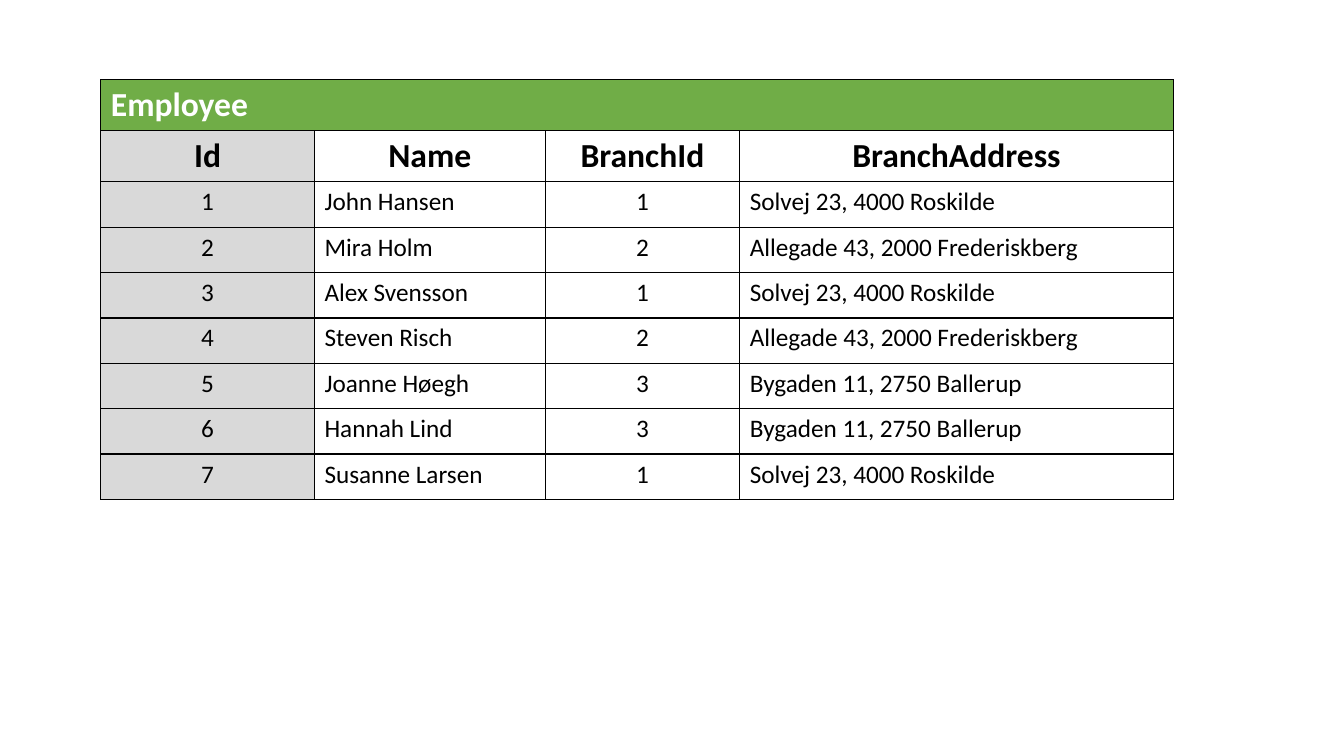
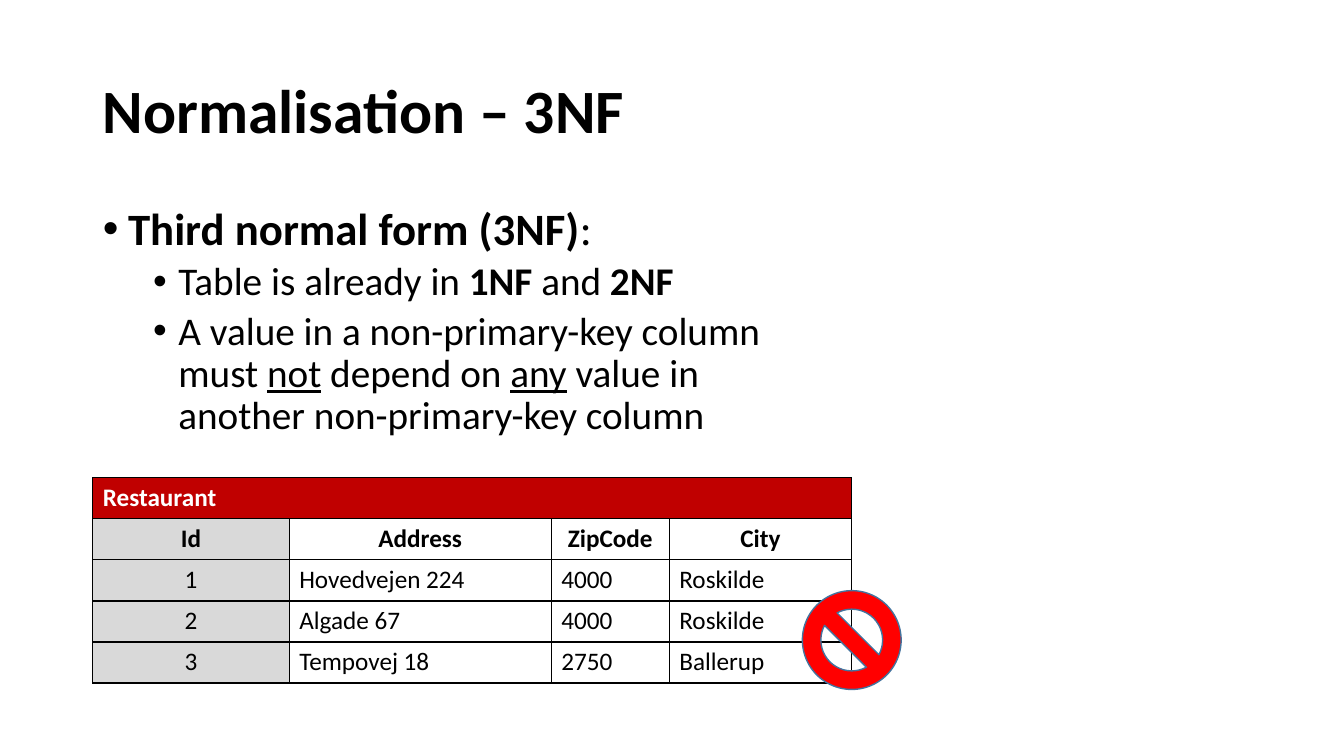
from pptx import Presentation, util as u
from pptx.dml.color import RGBColor
from pptx.enum import shapes, text
from pptx.oxml import parse_xml
from pptx.oxml.ns import nsdecls

FONT = "Calibri"
BLACK, WHITE, GREY = "000000", "FFFFFF", "D9D9D9"
GREEN, DARK_RED, RED, BLUE = "70AD47", "C00000", "FF0000", "43739E"

prs = Presentation()
prs.slide_width, prs.slide_height = u.Inches(13.333), u.Inches(7.5)


def share(x, y, w, h):
    W, H = prs.slide_width, prs.slide_height
    return [int(v * side / 100) for v, side in ((x, W), (y, H), (w, W), (h, H))]


def add_run(p, words, size, color=BLACK, bold=False, underline=False):
    r = p.add_run()
    r.text = words
    f = r.font
    f.name, f.size, f.bold, f.underline = FONT, u.Pt(size), bold, underline
    f.color.rgb = RGBColor.from_string(color)


s1 = prs.slides.add_slide(prs.slide_layouts[6])
s2 = prs.slides.add_slide(prs.slide_layouts[1])

title, body = s2.placeholders
title.left, title.top, title.width, title.height = share(6.9, 5.33, 86.25, 19.33)
body.left, body.top, body.width, body.height = share(6.9, 26.67, 51.38, 60.13)
for sp in (title, body):
    sp.text_frame.auto_size = text.MSO_AUTO_SIZE.NONE
    sp.text_frame.word_wrap = True

title.text_frame.vertical_anchor = text.MSO_ANCHOR.MIDDLE
p = title.text_frame.paragraphs[0]
p.alignment, p.line_spacing = text.PP_ALIGN.LEFT, 0.9
add_run(p, "Normalisation – 3NF", 44, bold=True)

bullets = [
    (0, 32, 10, [("Third normal form (3NF)", "b"), (":", "")]),
    (1, 28, 5, [("Table is already in ", ""), ("1NF ", "b"), ("and", ""), (" 2NF", "b")]),
    (1, 28, 5, [("A value in a non-primary-key column must ", ""), ("not", "u"),
                (" depend on ", ""), ("any", "u"),
                (" value in another non-primary-key column", "")]),
]
tf = body.text_frame
for i, (level, size, before, runs) in enumerate(bullets):
    p = tf.add_paragraph() if i else tf.paragraphs[0]
    p.level, p.line_spacing, p.space_before = level, 0.9, u.Pt(before)
    pPr = p._p.get_or_add_pPr()
    pPr.set("marL", str(u.Inches(0.25 + 0.5 * level)))
    pPr.set("indent", str(u.Inches(-0.25)))
    pPr.append(parse_xml(f'<a:buFont {nsdecls("a")} typeface="Arial"/>'))
    pPr.append(parse_xml(f'<a:buChar {nsdecls("a")} char="•"/>'))
    for words, style in runs:
        add_run(p, words, size, bold=style == "b", underline=style == "u")

solvej, allegade, bygaden = (
    "Solvej 23, 4000 Roskilde", "Allegade 43, 2000 Frederiskberg", "Bygaden 11, 2750 Ballerup")
tables = [
    (s1, 7.5, 10.53, [15.9, 17.17, 14.48, 32.25], [6.76] * 2 + [6] * 7, 24, GREEN, (0, 2), [
        ["Employee", "", "", ""],
        ["Id", "Name", "BranchId", "BranchAddress"],
        ["1", "John Hansen", "1", solvej],
        ["2", "Mira Holm", "2", allegade],
        ["3", "Alex Svensson", "1", solvej],
        ["4", "Steven Risch", "2", allegade],
        ["5", "Joanne Høegh", "3", bygaden],
        ["6", "Hannah Lind", "3", bygaden],
        ["7", "Susanne Larsen", "1", solvej],
    ]),
    (s2, 6.9, 63.2, [14.62, 19.5, 8.78, 13.58], [5.43] * 5, 18, DARK_RED, (0,), [
        ["Restaurant", "", "", ""],
        ["Id", "Address", "ZipCode", "City"],
        ["1", "Hovedvejen 224", "4000", "Roskilde"],
        ["2", "Algade 67", "4000", "Roskilde"],
        ["3", "Tempovej 18", "2750", "Ballerup"],
    ]),
]
for s, x, y, widths, heights, head_size, band, centred, rows in tables:
    tbl = s.shapes.add_table(len(rows), len(widths),
                             *share(x, y, sum(widths), sum(heights))).table
    tbl.first_row = tbl.horz_banding = False
    for col, w in zip(tbl.columns, widths):
        col.width = share(0, 0, w, 0)[2]
    for row, h in zip(tbl.rows, heights):
        row.height = share(0, 0, 0, h)[3]
    tbl.cell(0, 0).merge(tbl.cell(0, len(widths) - 1))
    for i, row in enumerate(rows):
        for j, words in enumerate(row):
            cell = tbl.cell(i, j)
            tcPr = cell._tc.get_or_add_tcPr()
            for side in "LRTB":
                tcPr.append(parse_xml(
                    f'<a:ln{side} {nsdecls("a")} w="{u.Pt(1)}"><a:solidFill>'
                    f'<a:srgbClr val="{BLACK}"/></a:solidFill></a:ln{side}>'))
            cell.fill.solid()
            fill = band if i == 0 else GREY if j == 0 else WHITE
            cell.fill.fore_color.rgb = RGBColor.from_string(fill)
            if not words:
                continue
            p = cell.text_frame.paragraphs[0]
            if i == 1 or (i > 1 and j in centred):
                p.alignment = text.PP_ALIGN.CENTER
            add_run(p, words, head_size if i < 2 else 18,
                    BLACK if i else WHITE, bold=i < 2)

sign = s2.shapes.add_shape(shapes.MSO_SHAPE.NO_SYMBOL, *share(59.7, 78.13, 7.35, 13.07))
sign.shadow.inherit = False
sign.fill.solid()
sign.fill.fore_color.rgb = RGBColor.from_string(RED)
sign.line.color.rgb = RGBColor.from_string(BLUE)
sign.line.width = u.Pt(1)

prs.save("out.pptx")
